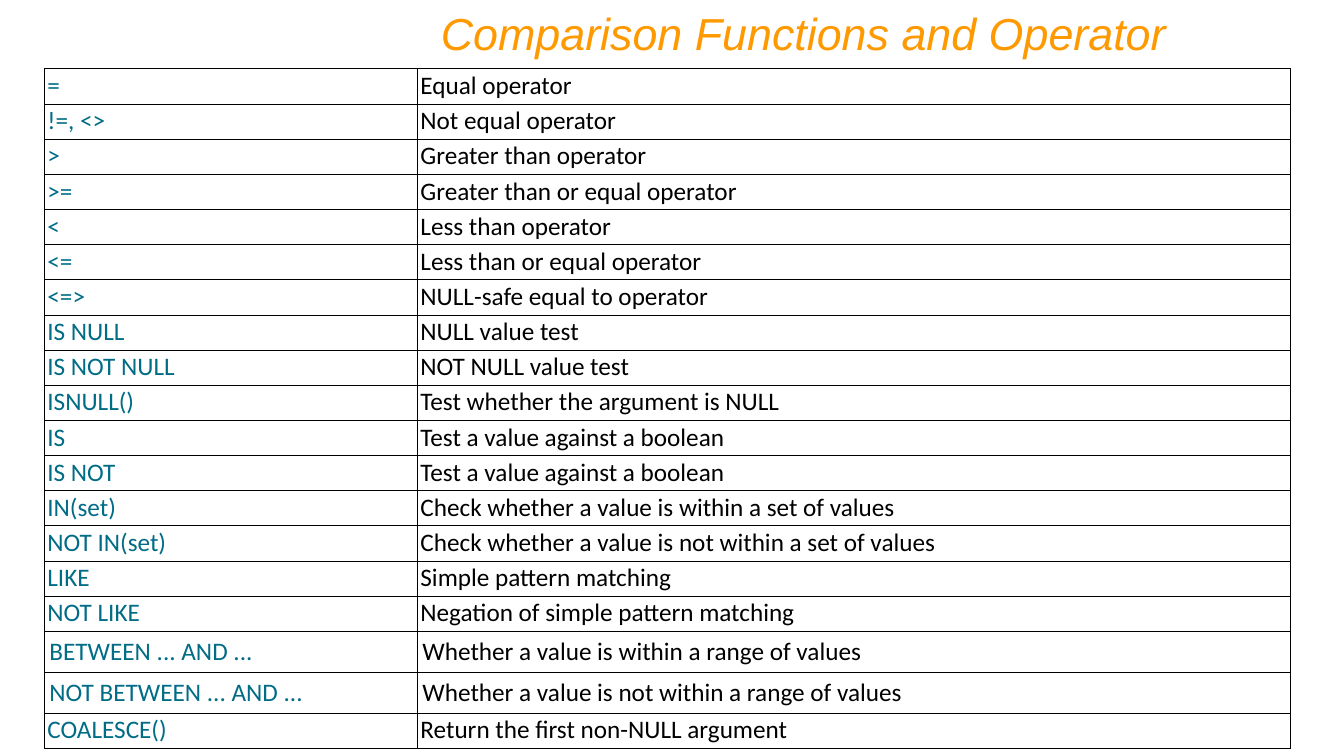
from lxml import etree
from pptx import Presentation
from pptx.dml.color import RGBColor
from pptx.enum.text import MSO_ANCHOR, PP_ALIGN
from pptx.oxml.ns import qn
from pptx.util import Inches, Pt

RIGHT = PP_ALIGN.RIGHT
MIDDLE = MSO_ANCHOR.MIDDLE
TEAL, BLACK, ORANGE = "006C86", "000000", "FF9900"

ROWS = [
    ("=", "Equal operator"),
    ("!=, <>", "Not equal operator"),
    (">", "Greater than operator"),
    (">=", "Greater than or equal operator"),
    ("<", "Less than operator"),
    ("<=", "Less than or equal operator"),
    ("<=>", "NULL-safe equal to operator"),
    ("IS NULL", "NULL value test"),
    ("IS NOT NULL", "NOT NULL value test"),
    ("ISNULL()", "Test whether the argument is NULL"),
    ("IS", "Test a value against a boolean"),
    ("IS NOT", "Test a value against a boolean"),
    ("IN(set)", "Check whether a value is within a set of values"),
    ("NOT IN(set)", "Check whether a value is not within a set of values"),
    ("LIKE", "Simple pattern matching"),
    ("NOT LIKE", "Negation of simple pattern matching"),
    ("BETWEEN ... AND ...", "Whether a value is within a range of values"),
    ("NOT BETWEEN ... AND ...", "Whether a value is not within a range of values"),
    ("COALESCE()", "Return the first non-NULL argument"),
]


def style(font, name, size, color):
    font.name, font.size = name, Pt(size)
    font.color.rgb = RGBColor.from_string(color)


def outline(cell):
    """Draw a thin black border on all four sides."""
    props = cell._tc.get_or_add_tcPr()
    for side in ("lnL", "lnR", "lnT", "lnB"):
        line = etree.SubElement(props, qn(f"a:{side}"), w=str(Pt(0.25)))
        fill = etree.SubElement(line, qn("a:solidFill"))
        etree.SubElement(fill, qn("a:srgbClr"), val=BLACK)


prs = Presentation()
prs.slide_width, prs.slide_height = Inches(13.33), Inches(7.5)
slide = prs.slides.add_slide(prs.slide_layouts[5])

title = slide.shapes.title
title.left, title.top = Inches(1.67), 0
title.width, title.height = Inches(10), Inches(0.64)
title.text = "Comparison Functions and Operator"
title.text_frame.vertical_anchor = MIDDLE
head = title.text_frame.paragraphs[0]
head.alignment = RIGHT
style(head.font, "Arial", 32, ORANGE)
head.font.italic = True

# The two BETWEEN rows are taller; the others share what is left.
full, tall = 6.73, 0.4
wide = [i for i, row in enumerate(ROWS) if "BETWEEN" in row[0]]
short = (full - tall * len(wide)) / (len(ROWS) - len(wide))

table = slide.shapes.add_table(
    len(ROWS), 2, Inches(0.44), Inches(0.68), Inches(12.36), Inches(full)
).table
table.first_row = table.horz_banding = False
for col, width in zip(table.columns, (3.7, 8.66)):
    col.width = Inches(width)

for i, row in enumerate(ROWS):
    table.rows[i].height = Inches(tall if i in wide else short)
    pad_x, pad_y = (0.05, 0.05) if i in wide else (0.03, 0.02)
    for j, color in enumerate((TEAL, BLACK)):
        cell = table.cell(i, j)
        cell.text = row[j]
        cell.margin_left = cell.margin_right = Inches(pad_x)
        cell.margin_top = cell.margin_bottom = Inches(pad_y)
        style(cell.text_frame.paragraphs[0].font, "Calibri", 18, color)
        outline(cell)
        cell.fill.background()

prs.save("out.pptx")
